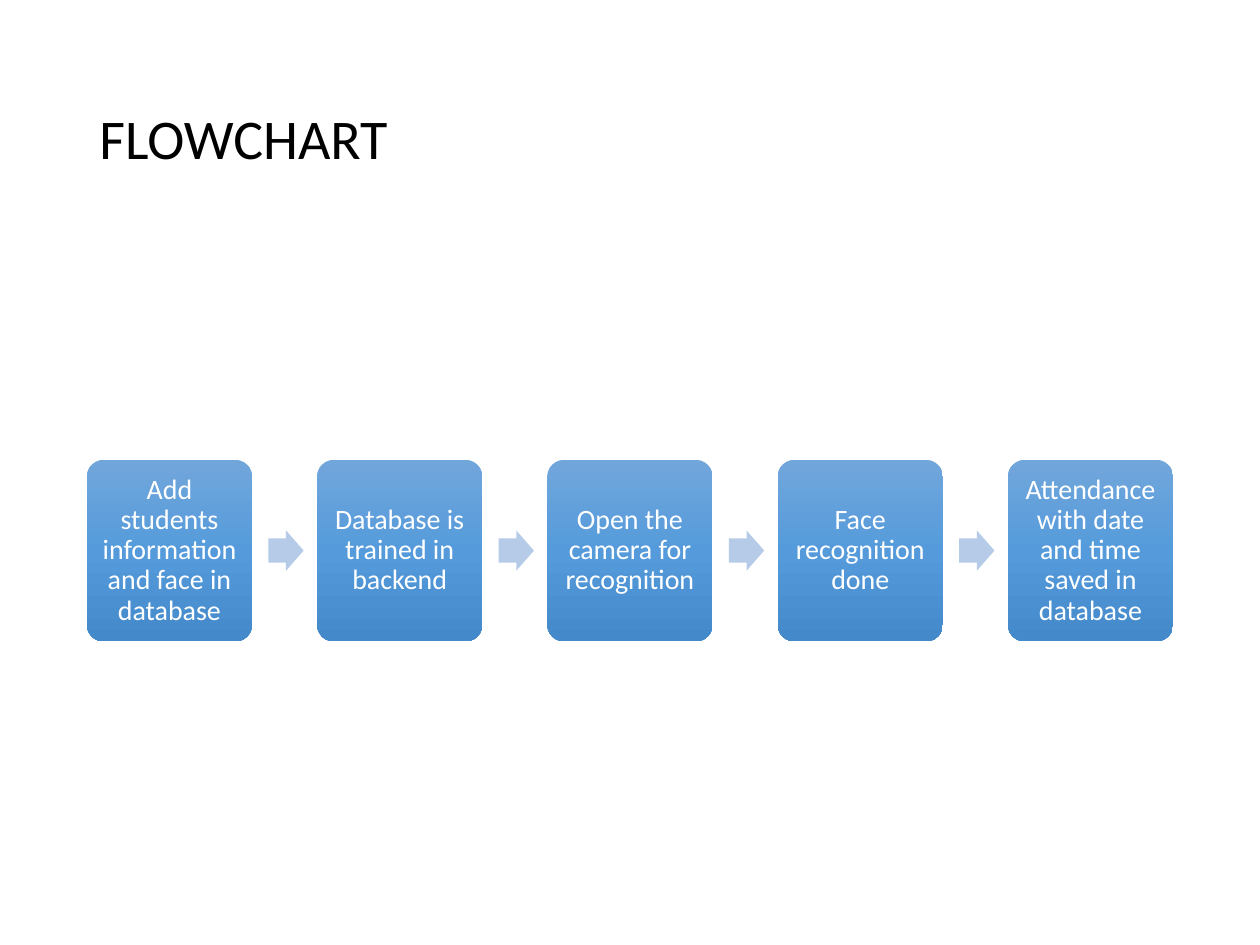
from copy import deepcopy

from pptx import Presentation
from pptx.dml.color import RGBColor as RGB
from pptx.enum.shapes import MSO_SHAPE as SHAPE
from pptx.enum.text import MSO_ANCHOR as ANCHOR, PP_ALIGN as ALIGN
from pptx.oxml.ns import qn
from pptx.util import Inches, Pt

COLORS = {
    "title": "000000",
    "label": "FFFFFF",
    "arrow": "B5CBE7",
    "top": "71A6DB",
    "mid": "559BDB",
    "base": "448ACA",
}
STEPS = [
    "Add students information and face in database",
    "Database is trained in backend",
    "Open the camera for recognition",
    "Face recognition done",
    "Attendance with date and time saved in database",
]
LEFT, TOP, WIDE, HIGH = 0.69, 3.65, 1.31, 1.44
PITCH = (8 - LEFT) / (len(STEPS) - 1)
INSET = 0.06


def write(shape, text, size, color, align):
    """Put one middle-anchored, styled paragraph in a shape."""
    frame = shape.text_frame
    frame.word_wrap = True
    frame.vertical_anchor = ANCHOR.MIDDLE
    frame.text = text
    para = frame.paragraphs[0]
    para.alignment = align
    para.line_spacing = 0.9
    font = para.runs[0].font
    font.name = "Calibri"
    font.size = Pt(size)
    font.color.rgb = RGB.from_string(COLORS[color])


def draw(kind, left, top, wide, high):
    """Add a preset shape without line or shadow."""
    shape = slide.shapes.add_shape(
        kind, Inches(left), Inches(top), Inches(wide), Inches(high))
    shape.shadow.inherit = False
    shape.line.fill.background()
    return shape


deck = Presentation()
deck.slide_width, deck.slide_height = Inches(10), Inches(7.5)
slide = deck.slides.add_slide(deck.slide_layouts[6])

title = slide.shapes.add_textbox(
    Inches(LEFT), Inches(0.4), Inches(8.62), Inches(1.45))
write(title, "FLOWCHART", 32, "title", ALIGN.LEFT)

for i, step in enumerate(STEPS):
    left = LEFT + i * PITCH
    box = draw(SHAPE.ROUNDED_RECTANGLE, left, TOP, WIDE, HIGH)
    box.adjustments[0] = 0.1
    box.fill.gradient()
    box.fill.gradient_angle = 270
    stops = box._element.spPr.find(qn("a:gradFill")).find(qn("a:gsLst"))
    stops.insert(1, deepcopy(stops[0]))
    for stop, name, place in zip(
            box.fill.gradient_stops, ("top", "mid", "base"), (0, 0.5, 1)):
        stop.color.rgb = RGB.from_string(COLORS[name])
        stop.position = place
    frame = box.text_frame
    frame.margin_left = frame.margin_right = Inches(INSET)
    frame.margin_top = frame.margin_bottom = Inches(INSET)
    write(box, step, 16, "label", ALIGN.CENTER)

    if i < len(STEPS) - 1:
        arrow = draw(SHAPE.RIGHT_ARROW, left + 1.44, 4.21, 0.28, 0.32)
        arrow.adjustments[0] = 0.6
        arrow.adjustments[1] = 0.5
        arrow.fill.solid()
        arrow.fill.fore_color.rgb = RGB.from_string(COLORS["arrow"])

deck.save("out.pptx")
